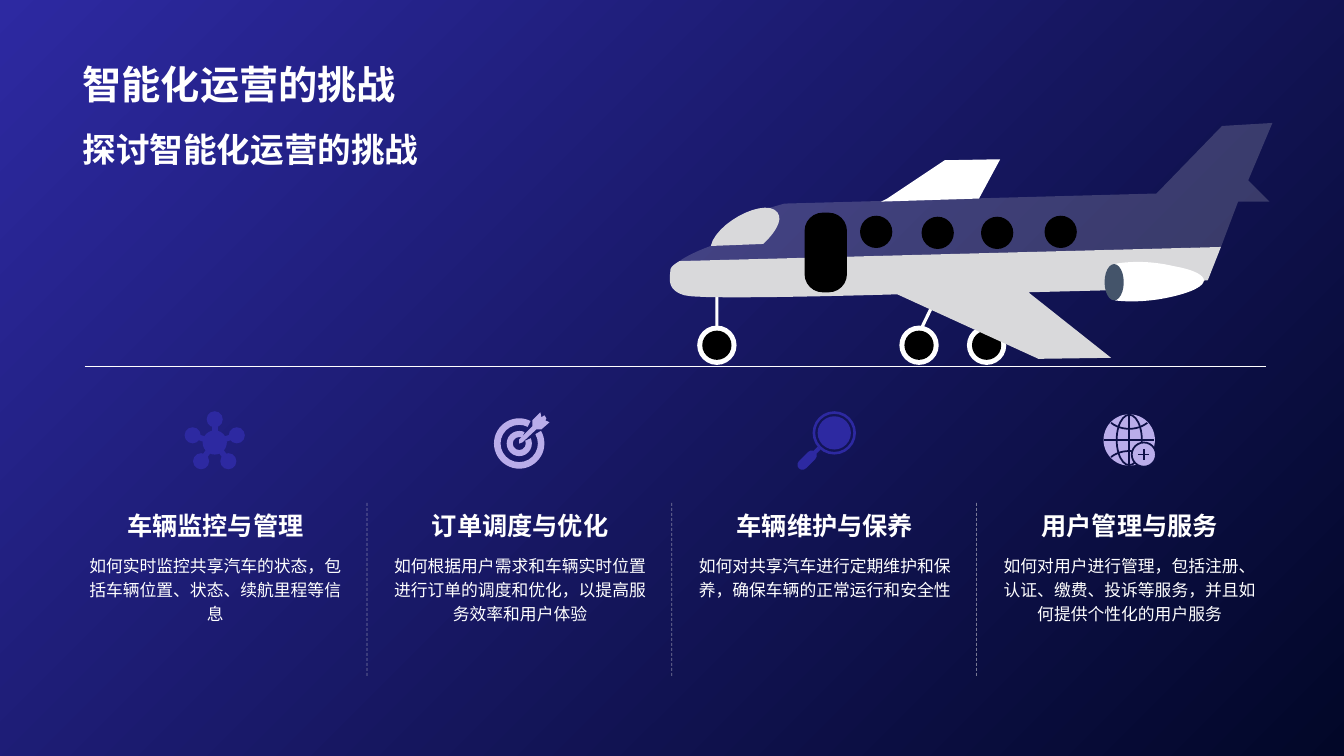
"""Build the slide on the challenges of smart fleet operation."""
import math
import pptx
import pptx.dml.color
import pptx.enum.dml
import pptx.enum.shapes
import pptx.enum.text
import pptx.oxml.ns
import pptx.util
import lxml.etree

WIDE, HIGH = 13.33, 7.5
TITLE = "智能化运营的挑战"
SUB = "探讨智能化运营的挑战"
TOPICS = [
    ("车辆监控与管理", "如何实时监控共享汽车的状态，包括车辆位置、状态、续航里程等信息"),
    ("订单调度与优化", "如何根据用户需求和车辆实时位置进行订单的调度和优化，以提高服务效率和用户体验"),
    ("车辆维护与保养", "如何对共享汽车进行定期维护和保养，确保车辆的正常运行和安全性"),
    ("用户管理与服务", "如何对用户进行管理，包括注册、认证、缴费、投诉等服务，并且如何提供个性化的用户服务"),
]
WHITE, BLACK, SILVER, PALE = "FFFFFF", "000000", "D9D9DB", "E6E4E4"
BLUE, LILAC, NIGHT, DEEP, SLATE = "2D29A1", "BAADEA", "020728", "0D1046", "44546A"
LEFT, STEP, COL = 0.74, 3.023, 2.79
GAP = 3.64

HULL = [(12.28, 2), (12.59, 2), (12.38, 1.79), (12.62, 1.22), (12.12, 1.25),
        (11.47, 1.92), (7.78, 2.02), (7.64, 2.06), (7.05, 2.44),
        (7.05, 2.44, 6.85, 2.51, 6.74, 2.59), (12.11, 2.45)]
BELLY = [(11.98, 2.78), (12.11, 2.45), (6.74, 2.59),
         (6.69, 2.62, 6.65, 2.65, 6.65, 2.68), (6.64, 2.78, 6.62, 2.88, 6.79, 2.93),
         (6.95, 2.98, 8.9, 2.92, 8.9, 2.92), (10.3, 3.56), (11.02, 3.55),
         (10.2, 2.9), (10.99, 2.88)]
WING = [(8.8, 1.97), (9.37, 1.59), (9.92, 1.58), (9.71, 1.97), (8.74, 2)]
GLASS = [(7.05, 2.44), (7.57, 2.42), (7.57, 2.42, 7.84, 2.18, 7.68, 2.08),
         (7.53, 1.99, 7.1, 2.22, 7.05, 2.44)]
JET = [(11.64, 2.64), (11.3, 2.56, 11.05, 2.62, 11.05, 2.62), (11.06, 2.98),
       (11.06, 2.98, 11.31, 3.02, 11.64, 2.94), (11.93, 2.87, 11.94, 2.8, 11.94, 2.78),
       (11.94, 2.76, 11.92, 2.69, 11.64, 2.64)]
STRUT = [(9.15, 3.27), (9.12, 3.26), (9.28, 2.93), (9.31, 2.94)]
DART = [(5.36, 4.09), (5.37, 4.14), (5.4, 4.12), (5.42, 4.15), (5.41, 4.17),
        (5.45, 4.19), (5.37, 4.26), (5.32, 4.26), (5.18, 4.39), (5.15, 4.4),
        (5.15, 4.36), (5.28, 4.23), (5.28, 4.17)]
PORTS = [(8.69, 2.3), (9.3, 2.31), (9.89, 2.31), (10.52, 2.3)]
FAR, NEAR, AXLE = 9.785, (7.11, 9.115), 3.425

inch = pptx.util.Inches
KIND = pptx.enum.shapes.MSO_SHAPE
ALIGN = pptx.enum.text.PP_ALIGN
ANCHOR = pptx.enum.text.MSO_ANCHOR
deck = pptx.Presentation()
deck.slide_width, deck.slide_height = inch(WIDE), inch(HIGH)
slide = deck.slides.add_slide(deck.slide_layouts[5])
parts = slide.shapes


def tint(text):
    return pptx.dml.color.RGBColor.from_string(text)


def fade(item, share):
    node = next(item._element.spPr.iter(pptx.oxml.ns.qn("a:srgbClr")))
    lxml.etree.SubElement(node, pptx.oxml.ns.qn("a:alpha"), val=str(share * 1000))


def paint(item, fill, edge=None, width=1.25):
    item.shadow.inherit = False
    if fill:
        item.fill.solid()
        item.fill.fore_color.rgb = tint(fill)
    else:
        item.fill.background()
    if edge:
        item.line.color.rgb = tint(edge)
        item.line.width = pptx.util.Pt(width)
    else:
        item.line.fill.background()
    return item


def block(kind, mid, size, fill, adjust=(), edge=None, turn=0):
    (x, y), (w, h) = mid, size
    item = parts.add_shape(kind, inch(x - w / 2), inch(y - h / 2), inch(w), inch(h))
    for i, value in enumerate(adjust):
        item.adjustments[i] = value
    item.rotation = turn
    return paint(item, fill, edge)


def disc(mid, ray, fill, edge=None):
    return block(KIND.OVAL, mid, (2 * ray, 2 * ray), fill, edge=edge)


def trace(marks, fill, edge=None):
    dots = [marks[0]]
    for mark in marks[1:]:
        if len(mark) == 2:
            dots.append(mark)
            continue
        knots = [dots[-1], mark[:2], mark[2:4], mark[4:]]
        for k in range(1, 13):
            t = k / 12
            mix = ((1 - t) ** 3, 3 * t * (1 - t) ** 2, 3 * t * t * (1 - t), t ** 3)
            dots.append(tuple(sum(m * p[a] for m, p in zip(mix, knots)) for a in (0, 1)))
    dots = [(inch(x), inch(y)) for x, y in dots]
    pen = parts.build_freeform(*dots[0])
    pen.add_line_segments(dots[1:], close=bool(fill))
    return paint(pen.convert_to_shape(), fill, edge)


def rule(start, end, hue, width):
    ends = [inch(v) for v in (*start, *end)]
    item = parts.add_connector(pptx.enum.shapes.MSO_CONNECTOR.STRAIGHT, *ends)
    item.line.color.rgb = tint(hue)
    item.line.width = pptx.util.Pt(width)
    lxml.etree.SubElement(item._element.spPr, pptx.oxml.ns.qn("a:effectLst"))
    return item


def write(item, box, text, size, bold=False, align=ALIGN.LEFT, anchor=ANCHOR.TOP, space=1.0):
    item.left, item.top, item.width, item.height = map(inch, box)
    frame = item.text_frame
    frame.word_wrap = True
    frame.auto_size = pptx.enum.text.MSO_AUTO_SIZE.NONE
    frame.vertical_anchor = anchor
    para = frame.paragraphs[0]
    para.alignment, para.line_spacing = align, space
    run = para.add_run()
    run.text = text
    run.font.name, run.font.size, run.font.bold = "Arial", pptx.util.Pt(size), bold
    run.font.color.rgb = tint(WHITE)


def label(*args, **more):
    write(parts.add_textbox(0, 0, 0, 0), *args, **more)


def wheel(x):
    disc((x, AXLE), 0.195, WHITE)
    disc((x, AXLE), 0.145, BLACK)


def plane():
    wheel(FAR)
    trace(STRUT, WHITE)
    block(KIND.RECTANGLE, (7.11, 3.07), (0.03, 0.36), WHITE)
    fade(trace(HULL, PALE), 20)
    for marks, fill in ((BELLY, SILVER), (WING, WHITE), (GLASS, SILVER), (JET, WHITE)):
        trace(marks, fill)
    block(KIND.OVAL, (11.05, 2.8), (0.19, 0.36), SLATE)
    for port in PORTS:
        disc(port, 0.16, BLACK)
    block(KIND.ROUNDED_RECTANGLE, (8.19, 2.505), (0.42, 0.79), BLACK, (0.43,))
    for x in NEAR:
        wheel(x)


def hub(x, y):
    disc((x, y), 0.12, BLUE)
    for k in range(5):
        turn = math.radians(72 * k - 90)
        node = x + 0.23 * math.cos(turn), y + 0.23 * math.sin(turn)
        rule((x, y), node, BLUE, 4)
        disc(node, 0.08, BLUE)


def target(x, y):
    for size, start, end, thick in ((0.5, 330, 297, 0.13), (0.25, 335, 295, 0.24)):
        block(KIND.BLOCK_ARC, (x, y), (size, size), LILAC, (start * 0.6, end * 0.6, thick))
    trace(DART, LILAC)


def lens(x, y):
    block(KIND.DONUT, (x, y), (0.43, 0.43), BLUE, (0.06,))
    disc((x, y), 0.165, BLUE)
    rule((x - 0.2, y + 0.2), (x - 0.15, y + 0.15), BLUE, 3)
    block(KIND.ROUNDED_RECTANGLE, (x - 0.27, y + 0.27), (0.23, 0.1), BLUE, (0.5,), turn=-45)


def globe(x, y):
    disc((x, y), 0.255, LILAC)
    block(KIND.OVAL, (x, y), (0.25, 0.5), None, edge=DEEP)
    rule((x, y - 0.25), (x, y + 0.25), DEEP, 1.25)
    rule((x - 0.25, y), (x + 0.25, y), DEEP, 1.25)
    for side in (-1, 1):
        rim, bend = y + side * 0.17, y + side * 0.09
        trace([(x - 0.18, rim), (x - 0.08, bend, x + 0.08, bend, x + 0.18, rim)], None, DEEP)
    plus = x + 0.145, y + 0.145
    disc(plus, 0.12, LILAC, DEEP)
    for w, h in ((0.055, 0), (0, 0.055)):
        rule((plus[0] - w, plus[1] - h), (plus[0] + w, plus[1] + h), DEEP, 1.25)


ground = slide.background.fill
ground.gradient()
ground.gradient_angle = 315
for stop, hue in zip(ground.gradient_stops, (BLUE, NIGHT)):
    stop.color.rgb = tint(hue)
write(parts.title, (0.72, 0.14, 11.88, 0.98), TITLE, 28, True, anchor=ANCHOR.BOTTOM)
plane()
rule((0.84, 3.63), (12.56, 3.63), WHITE, 0.25)
label((0.72, 1.23, 5.16, 1.34), SUB, 24, True)
for i, (head, body) in enumerate(TOPICS):
    x = LEFT + i * STEP
    label((x, 4.79, COL, 0.62), head, 18, True, ALIGN.CENTER, ANCHOR.BOTTOM)
    label((x, 5.42, COL, 1.29), body, 12, align=ALIGN.CENTER, space=1.2)
    if i < len(TOPICS) - 1:
        split = rule((GAP + i * STEP, 4.99), (GAP + i * STEP, 6.72), PALE, 0.5)
        split.line.dash_style = pptx.enum.dml.MSO_LINE.DASH
        fade(split, 50)
for icon, x, y in ((hub, 2.13, 4.39), (target, 5.15, 4.4), (lens, 8.275, 4.295), (globe, 11.2, 4.365)):
    icon(x, y)
deck.save("out.pptx")
